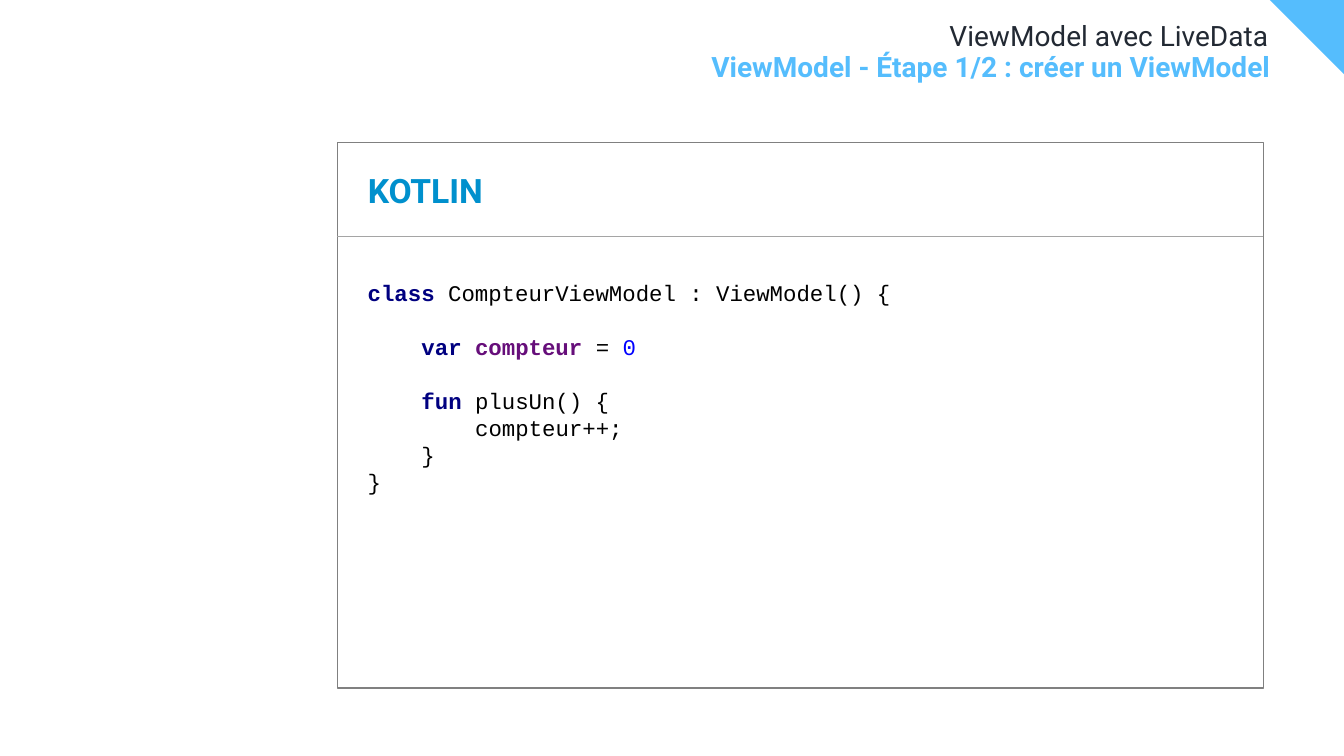
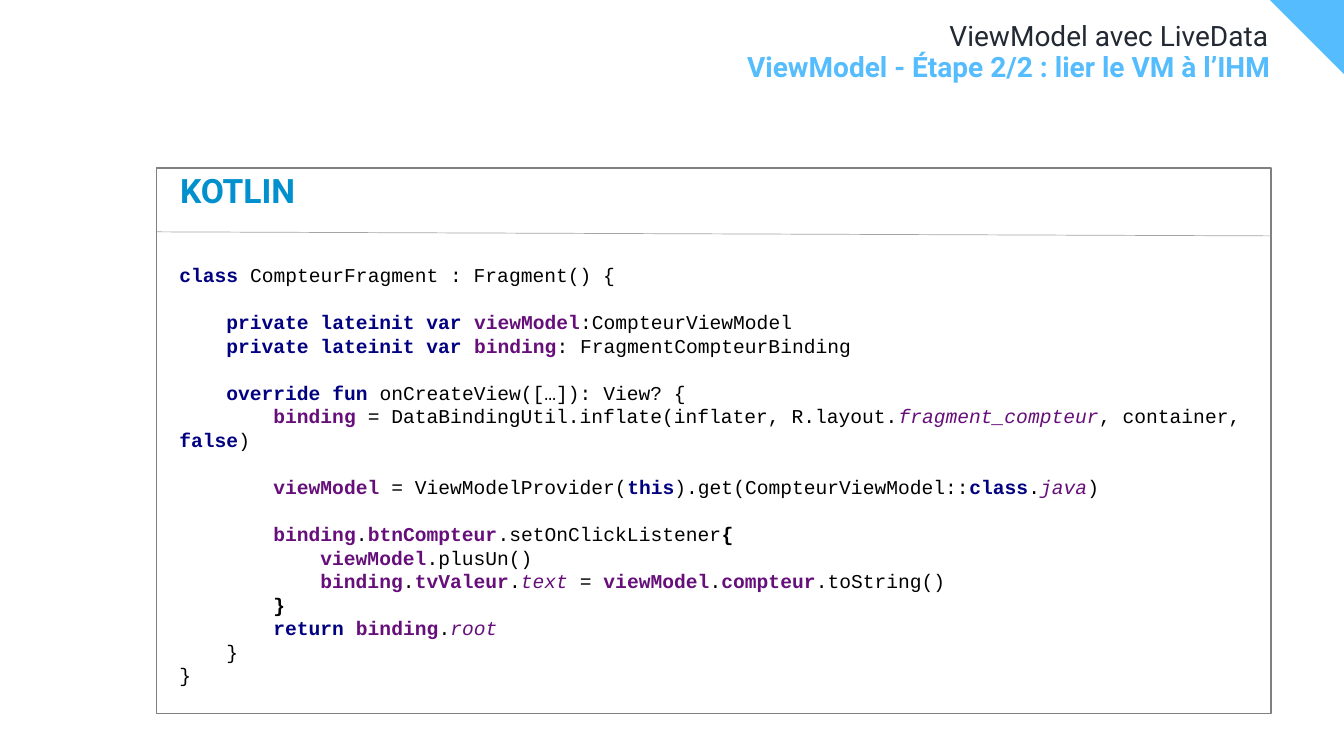
from pptx import Presentation
from pptx.dml import color
from pptx.enum import shapes, text
from pptx.oxml import ns, xmlchemy
from pptx.util import Pt

WIDTH, HEIGHT = 960, 540
CORNER = 53
SANS, MONO = "Roboto", "Courier New"
SKY, INK, BLUE = "55BDFD", "222933", "0090CD"
WHITE, BORDER, RULE = "FFFFFF", "808080", "A5A5A5"

# Code markup: ~x starts a span of style x, a further ~ returns to plain
PLAIN = {"colour": "000000"}
CODE_STYLES = {
    "k": {"colour": "000080", "bold": True},    # keyword
    "n": {"colour": "660E7A", "bold": True},    # name
    "m": {"colour": "660E7A", "italic": True},  # member
    "d": {"colour": "0000FF"},                  # digit
    "b": {"colour": "000000", "bold": True},    # brace
}


def rgb(value):
    return color.RGBColor.from_string(value)


def code_spans(line):
    """Split a marked line into (text, style) pairs."""
    for number, piece in enumerate(line.split("~")):
        if number % 2:
            yield piece[1:], CODE_STYLES[piece[0]]
        elif piece:
            yield piece, PLAIN


class CodeDeck:
    def __init__(self):
        self.deck = Presentation()
        self.deck.slide_width, self.deck.slide_height = Pt(WIDTH), Pt(HEIGHT)
        self.page = None

    # Text helpers
    def span(self, para, words, colour, **formats):
        span = para.add_run()
        span.text = words
        span.font.color.rgb = rgb(colour)
        for key, value in formats.items():
            setattr(span.font, key, value)

    def frame_text(self, box, anchor, **margins):
        frame = box.text_frame
        formats = {"word_wrap": True, "auto_size": text.MSO_AUTO_SIZE.NONE,
                   "vertical_anchor": anchor, **margins}
        for key, value in formats.items():
            setattr(frame, key, value)
        return frame

    def indent(self, para, first_line):
        props = para._p.get_or_add_pPr()
        props.set("marL", "0")
        props.set("indent", str(Pt(first_line)))
        return props

    # Shared page parts
    def add_page(self, title, subtitle):
        self.page = self.deck.slides.add_slide(self.deck.slide_layouts[1])
        builder = self.page.shapes.build_freeform(
            Pt(WIDTH - CORNER), Pt(0), scale=1.0)
        builder.add_line_segments(
            [(Pt(WIDTH), Pt(0)), (Pt(WIDTH), Pt(CORNER))], close=True)
        self.paint(builder.convert_to_shape(), SKY)
        heading, body = self.page.placeholders
        self.heading(heading, title, 16, 22, 879, colour=INK, bold=False)
        self.heading(body, subtitle, 38, 31, 880.5, colour=SKY, bold=True)

    def heading(self, box, words, top, height, width, **style):
        self.place(box, 27, top, width, height)
        margins = {f"margin_{side}": 0
                   for side in ("left", "top", "right", "bottom")}
        frame = self.frame_text(box, text.MSO_ANCHOR.TOP, **margins)
        para = frame.paragraphs[0]
        formats = {"alignment": text.PP_ALIGN.RIGHT, "line_spacing": 0.9,
                   "space_before": Pt(0)}
        for key, value in formats.items():
            setattr(para, key, value)
        props = self.indent(para, 0)
        props.append(xmlchemy.OxmlElement("a:buNone"))
        self.span(para, words, name=SANS, size=Pt(20), **style)

    # Shapes
    def place(self, box, left, top, width, height):
        box.left, box.top = Pt(left), Pt(top)
        box.width, box.height = Pt(width), Pt(height)

    def paint(self, shape, fill, line=None):
        shape.shadow.inherit = False
        shape.fill.solid()
        shape.fill.fore_color.rgb = rgb(fill)
        if line:
            shape.line.color.rgb = rgb(line)
            shape.line.width = Pt(1)
        else:
            shape.line.fill.background()

    def rectangle(self, area, line=None):
        shape = self.page.shapes.add_shape(
            shapes.MSO_SHAPE.RECTANGLE, *map(Pt, area))
        self.paint(shape, WHITE, line)
        return shape

    def rule(self, *ends):
        line = self.page.shapes.add_connector(
            shapes.MSO_CONNECTOR.STRAIGHT, *map(Pt, ends))
        line.line.color.rgb = rgb(RULE)
        line.line.width = Pt(0.5)
        props = line._element.find(ns.qn("p:spPr"))
        props.append(xmlchemy.OxmlElement("a:effectLst"))

    # Framed listing: border, rule, language label and code
    def panel(self, area, rule_tops, language, label_left):
        left, _, width, _ = area
        self.rectangle(area, BORDER)
        self.rule(left, rule_tops[0], left + width, rule_tops[1])
        label = self.page.shapes.add_textbox(
            *map(Pt, (label_left, 103.7, 104, 50)))
        frame = self.frame_text(label, text.MSO_ANCHOR.BOTTOM)
        self.span(frame.paragraphs[0], language, BLUE,
                  name=SANS, size=Pt(24), bold=True)

    def code(self, area, size, lines):
        frame = self.frame_text(self.rectangle(area), text.MSO_ANCHOR.MIDDLE)
        line_height = Pt(1.2 * size)
        for number, (level, gap, line) in enumerate(lines):
            para = frame.add_paragraph() if number else frame.paragraphs[0]
            para.alignment = text.PP_ALIGN.LEFT
            para.line_spacing = line_height
            para.space_before = line_height * gap
            self.indent(para, level * 4 * 0.6 * size)  # four characters
            for words, style in code_spans(line):
                self.span(para, words, name=MONO, size=Pt(size), **style)


# Each line: indent level, blank lines before, marked code
VIEW_MODEL = [
    (0, 0, "~kclass ~CompteurViewModel : ViewModel() {"),
    (1, 1, "~kvar ~~ncompteur ~= ~d0"),
    (1, 1, "~kfun ~plusUn() {"),
    (2, 0, "compteur++;"),
    (1, 0, "}"),
    (0, 0, "}"),
]
FRAGMENT = [
    (0, 0, "~kclass ~CompteurFragment : Fragment() {"),
    (1, 1, "~kprivate lateinit var ~~nviewModel~:CompteurViewModel"),
    (1, 0, "~kprivate lateinit var ~~nbinding~: FragmentCompteurBinding"),
    (1, 1, "~koverride fun ~onCreateView([…]): View? {"),
    (2, 0, "~nbinding ~= DataBindingUtil.inflate(inflater, R.layout."
           "~mfragment_compteur~, container, ~kfalse~)"),
    (2, 1, "~nviewModel ~= ViewModelProvider(~kthis~)"
           ".get(CompteurViewModel::~kclass~.~mjava~)"),
    (2, 1, "~nbinding~.~nbtnCompteur~.setOnClickListener~b{"),
    (3, 0, "~nviewModel~.plusUn()"),
    (3, 0, "~nbinding~.~ntvValeur~.~mtext ~= "
           "~nviewModel~.~ncompteur~.toString()"),
    (2, 0, "~b}"),
    (2, 0, "~kreturn ~~nbinding~.~mroot"),
    (1, 0, "}"),
    (0, 0, "}"),
]


def main():
    show = CodeDeck()
    title = "ViewModel avec LiveData"

    # Step 1
    show.add_page(title, "ViewModel - Étape 1/2 : créer un ViewModel")
    show.panel((241, 102, 661.5, 389.5), (168.5, 168.5), "KOTLIN", 255.6)
    show.code((255.6, 195, 518, 163), 16, VIEW_MODEL)

    # Step 2
    show.add_page(title, "ViewModel - Étape 2/2 : lier le VM à l’IHM")
    show.panel((112, 120, 796, 389.5), (165.6, 168.5), "KOTLIN", 121.5)
    show.code((121, 183, 773, 312.5), 14, FRAGMENT)

    show.deck.save("out.pptx")


if __name__ == "__main__":
    main()
